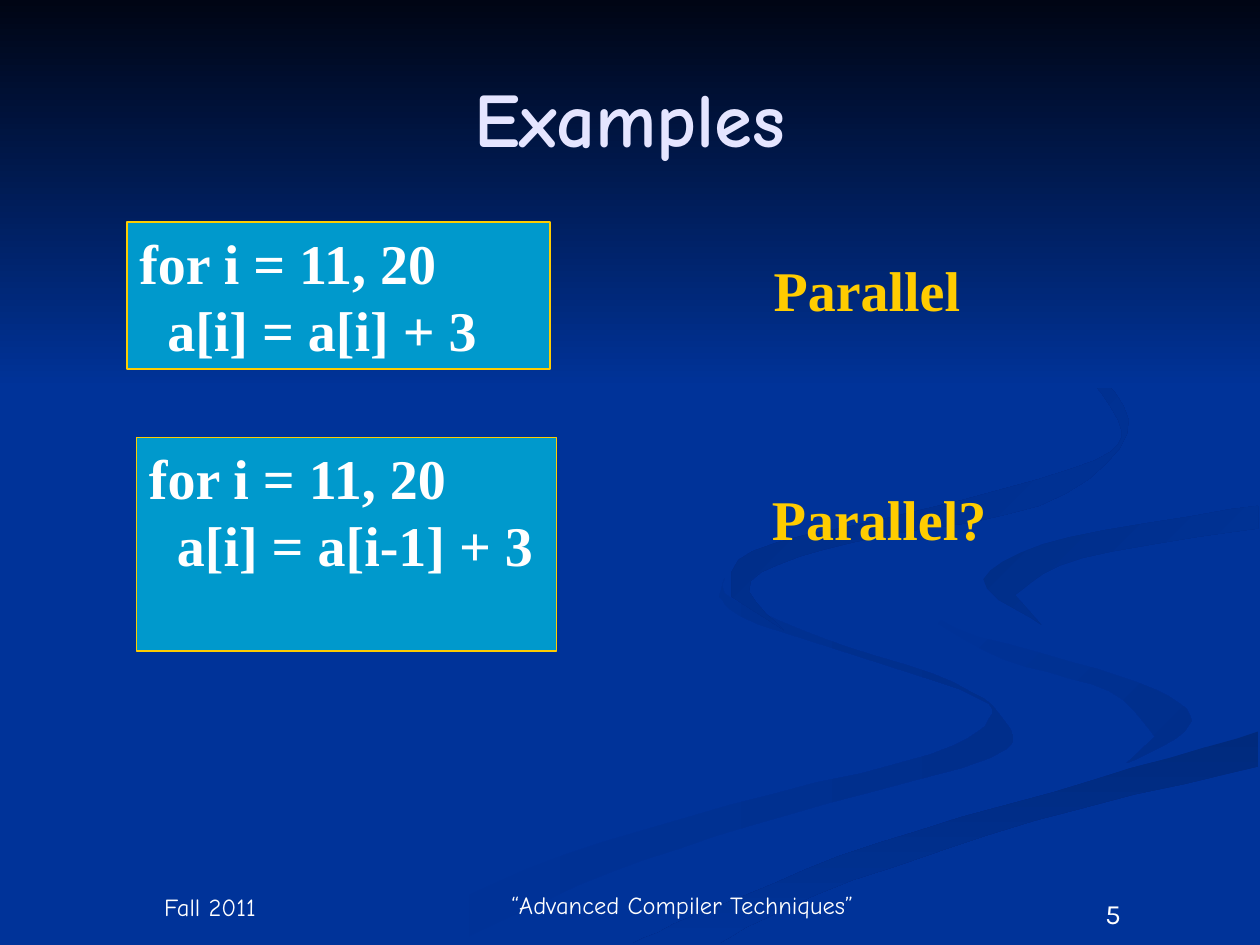
from pptx import Presentation
from pptx.dml.color import RGBColor
from pptx.enum.shapes import MSO_SHAPE as Shape
from pptx.enum.text import MSO_ANCHOR as Anchor, PP_ALIGN as Align
from pptx.util import Pt

BLUE = "003399"
WHITE = "FFFFFF"
YELLOW = "FFCC00"
CODE_FILL = "0099CC"
TITLE_COLOR = "E5E5FF"
SERIF = "Times New Roman"
HAND = "Comic Neue"
STEPS = 5  # straight pieces between two guide points of a ribbon edge

# Ribbons from back to front: start colour, end colour, clockwise angle, two edges
RIBBONS = [
    (BLUE, "002E8B", 0,
     [(414, 330), (418, 342), (471, 365), (545, 390), (574, 412), (566, 433),
      (449, 466), (350, 498), (260, 539)],
     [(216, 539), (300, 497), (417, 460), (532, 431), (565, 411), (549, 394),
      (434, 357), (411, 341)]),
    (BLUE, "002E8B", 45,
     [(521, 334), (546, 359), (626, 382), (674, 402), (677, 418), (644, 436)],
     [(660, 421), (634, 395), (574, 377), (528, 351)]),
    ("002A7D", BLUE, 90,
     [(362, 539), (410, 518), (501, 482), (624, 446), (719, 418)],
     [(719, 438), (591, 469), (467, 511), (411, 539)]),
    ("002D86", BLUE, 45,
     [(719, 289), (611, 307), (562, 331), (595, 357)],
     [(580, 340), (618, 319), (719, 302)]),
    ("002B82", BLUE, 45,
     [(549, 168), (620, 208), (644, 248), (594, 289), (487, 310), (429, 332),
      (448, 360)],
     [(418, 341), (430, 315), (528, 291), (626, 263), (639, 240), (609, 201)]),
]


def color(value):
    return RGBColor.from_string(value)


def smooth_edge(guides):
    """Catmull-Rom curve through the guide points."""
    padded = [guides[0], *guides, guides[-1]]
    points = []
    for before, start, end, after in zip(padded, padded[1:], padded[2:], padded[3:]):
        for step in range(STEPS):
            t = step / STEPS
            points.append(tuple(
                b + t / 2 * (c - a + t * (2 * a - 5 * b + 4 * c - d
                                          + t * (3 * b - a - 3 * c + d)))
                for a, b, c, d in zip(before, start, end, after)))
    return points + [guides[-1]]


def fill_gradient(shape, start, end, angle):
    shape.shadow.inherit = False
    shape.line.fill.background()
    shape.fill.gradient()
    shape.fill.gradient_angle = -angle % 360  # python-pptx counts counter-clockwise
    for stop, value in zip(shape.fill.gradient_stops, (start, end)):
        stop.color.rgb = color(value)


def add_ribbon(slide, start, end, angle, outer_edge, inner_edge):
    outline = smooth_edge(outer_edge) + smooth_edge(inner_edge)
    builder = slide.shapes.build_freeform(*outline[0], scale=Pt(1))
    builder.add_line_segments(outline[1:], close=True)
    fill_gradient(builder.convert_to_shape(), start, end, angle)


def write_text(shape, text, size, font, value, bold=False,
               align=Align.LEFT, anchor=Anchor.TOP, wrap=True):
    text_frame = shape.text_frame
    text_frame.text = text
    text_frame.word_wrap = wrap
    text_frame.vertical_anchor = anchor
    for paragraph in text_frame.paragraphs:
        paragraph.alignment = align
        for run in paragraph.runs:
            run.font.size = Pt(size)
            run.font.name = font
            run.font.bold = bold
            run.font.color.rgb = color(value)


def add_label(slide, box, text, size, font, value, **style):
    shape = slide.shapes.add_textbox(*map(Pt, box))
    write_text(shape, text, size, font, value, **style)


def add_code_box(slide, box, code):
    shape = slide.shapes.add_shape(Shape.RECTANGLE, *map(Pt, box))
    shape.shadow.inherit = False
    shape.fill.solid()
    shape.fill.fore_color.rgb = color(CODE_FILL)
    shape.line.color.rgb = color(YELLOW)
    shape.line.width = Pt(1)
    write_text(shape, code, 32, SERIF, WHITE, bold=True)


def main():
    presentation = Presentation()
    presentation.slide_width, presentation.slide_height = Pt(720), Pt(540)
    slide = presentation.slides.add_slide(presentation.slide_layouts[6])

    # Background with ribbons and a dark band across the top
    slide.background.fill.solid()
    slide.background.fill.fore_color.rgb = color(BLUE)
    for ribbon in RIBBONS:
        add_ribbon(slide, *ribbon)
    band = slide.shapes.add_shape(Shape.RECTANGLE, 0, 0, Pt(720), Pt(222))
    fill_gradient(band, "000514", BLUE, 90)

    # Footer
    add_label(slide, (576, 509, 120, 29), "5", 16, "Karla", WHITE, align=Align.CENTER)
    for box, text in [((36, 504, 168, 26), "Fall 2011"),
                      ((276, 504, 228, 25), "“Advanced Compiler Techniques”")]:
        add_label(slide, box, text, 14, HAND, WHITE,
                  align=Align.CENTER, anchor=Anchor.BOTTOM)

    # Title
    add_label(slide, (36, 21.6, 648, 90), "Examples", 44, HAND, TITLE_COLOR,
              bold=True, align=Align.CENTER, anchor=Anchor.MIDDLE)

    # Loops and their verdicts
    examples = [
        ((72.5, 127, 242, 84), "for i = 11, 20\n  a[i] = a[i] + 3",
         (435, 142.5, 147, 46), "Parallel"),
        ((78, 250, 240, 122), "for i = 11, 20\n  a[i] = a[i-1] + 3",
         (434, 273.5, 164, 46), "Parallel?"),
    ]
    for code_place, code, verdict_place, verdict in examples:
        add_code_box(slide, code_place, code)
        add_label(slide, verdict_place, verdict, 32, SERIF, YELLOW, bold=True, wrap=False)

    presentation.save("out.pptx")


if __name__ == "__main__":
    main()
